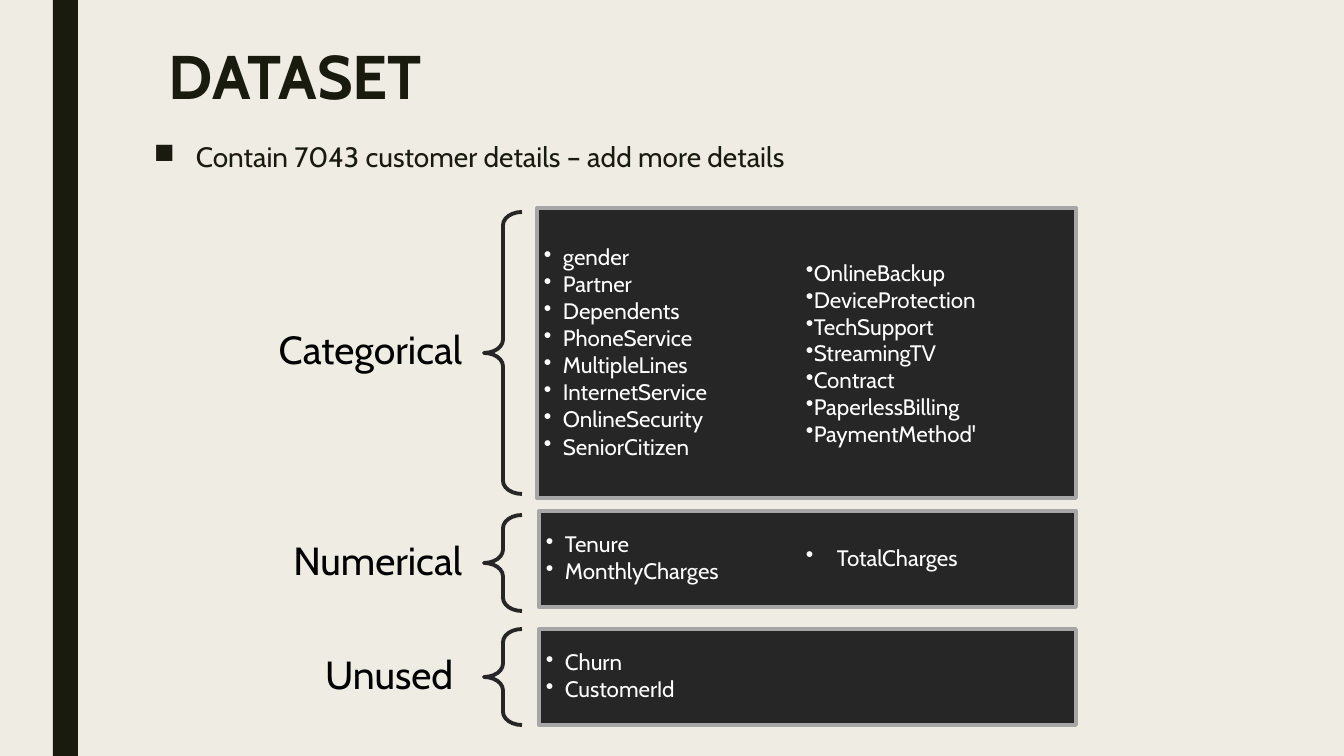
from dataclasses import dataclass

from lxml.etree import SubElement
from pptx import Presentation
from pptx.dml.color import RGBColor
from pptx.enum.shapes import MSO_SHAPE
from pptx.enum.text import MSO_ANCHOR, PP_ALIGN
from pptx.oxml.ns import qn
from pptx.util import Pt

SCALE = 914400 / 100.8


def px(size):
    """Turn pixels into EMU."""
    return round(size * SCALE)


@dataclass(frozen=True)
class Theme:
    """Colours, font and type sizes."""
    back: str = "EFEDE3"
    ink: str = "191B0E"
    dark: str = "262626"
    edge: str = "A6A6A6"
    black: str = "000000"
    white: str = "FFFFFF"
    font: str = "Cabin"
    title: int = 44
    lead: int = 20
    label: int = 28
    item: int = 16
    line: float = 2.75


class Page:
    """Draws elements on one slide in one style."""

    def __init__(self, slide, theme):
        """Keep the slide and theme, and fill the background."""
        self.slide, self.theme = slide, theme
        fill = slide.background.fill
        fill.solid()
        fill.fore_color.rgb = RGBColor.from_string(theme.back)

    def shape(self, kind, area, fill=None, edge=None):
        """Add a preset shape."""
        form = self.slide.shapes.add_shape(kind, *map(px, area))
        form.shadow.inherit = False
        if fill:
            form.fill.solid()
            form.fill.fore_color.rgb = RGBColor.from_string(fill)
        else:
            form.fill.background()
        if edge:
            form.line.color.rgb = RGBColor.from_string(edge)
            form.line.width = Pt(self.theme.line)
        else:
            form.line.fill.background()
        return form

    def brace(self, area):
        """Add a left brace."""
        form = self.shape(MSO_SHAPE.LEFT_BRACE, area, edge=self.theme.dark)
        form.adjustments[0] = 0.35

    def put(self, form, lines, size, color, align=PP_ALIGN.LEFT, bold=None,
            space=None, before=None, after=None, mark=None, indent=0):
        """Put one paragraph a line into a shape."""
        frame = form.text_frame
        frame.word_wrap = True
        for spot, line in enumerate(lines):
            para = frame.add_paragraph() if spot else frame.paragraphs[0]
            para.text, para.alignment, para.line_spacing = line, align, space
            if before is not None:
                para.space_before = Pt(before)
            if after is not None:
                para.space_after = Pt(after)
            font = para.font
            font.name, font.size, font.bold = self.theme.font, Pt(size), bold
            font.color.rgb = RGBColor.from_string(color)
            if mark:
                self.mark(para, mark, indent)
        return frame

    def mark(self, para, sign, indent):
        """Give a paragraph a bullet and a hanging indent."""
        props = para._p.get_or_add_pPr()
        props.set("marL", str(px(indent)))
        props.set("indent", str(-px(indent)))
        bullet = SubElement(props, qn("a:buChar"))
        bullet.set("char", sign)
        rest = props.find(qn("a:defRPr"))
        if rest is not None:
            rest.addprevious(bullet)

    def text(self, area, lines, size, color, **style):
        """Add a text box."""
        box = self.slide.shapes.add_textbox(*map(px, area))
        return self.put(box, lines, size, color, **style)

    def label(self, area, name):
        """Add a group name beside its brace."""
        frame = self.text(area, [name], self.theme.label, self.theme.black,
                          align=PP_ALIGN.RIGHT, space=0.9)
        frame.vertical_anchor = MSO_ANCHOR.MIDDLE
        frame.margin_left = frame.margin_right = px(22)

    def panel(self, area, items):
        """Add a dark box with a bullet list."""
        look = self.theme
        form = self.shape(MSO_SHAPE.RECTANGLE, area, look.dark, look.edge)
        frame = self.put(form, items, look.item, look.white, space=0.9,
                         after=2.1, mark="•", indent=19)
        frame.vertical_anchor = MSO_ANCHOR.MIDDLE
        frame.margin_left = frame.margin_right = px(7)
        frame.margin_top = frame.margin_bottom = px(7)

    def list(self, area, items, indent=0):
        """Add a bullet list over the right half of a box."""
        self.text(area, items, self.theme.item, self.theme.white,
                  mark="•", indent=indent)


# name, label top, brace (top, height), box (left, top, height), items
GROUPS = [
    ("Categorical", 304, (212, 282), (537, 208, 290),
     ["gender", "Partner", "Dependents", "PhoneService", "MultipleLines",
      "InternetService", "OnlineSecurity", "SeniorCitizen"]),
    ("Numerical", 515, (515, 96), (539, 511, 96),
     ["Tenure", "MonthlyCharges"]),
    ("Unused ", 629, (629, 96), (539, 629, 96),
     ["Churn", "CustomerId"]),
]
RIGHT = 1076

deck = Presentation()
deck.slide_width, deck.slide_height = px(1344), px(756)
theme = Theme()
page = Page(deck.slides.add_slide(deck.slide_layouts[6]), theme)

page.shape(MSO_SHAPE.RECTANGLE, (53, 0, 25, 756), theme.ink)
page.text((159, 42, 1058, 80), ["DATASET"], theme.title, theme.ink,
          bold=True, space=0.89)
page.text((144, 137, 1200, 50),
          ["Contain 7043 customer details – add more details"],
          theme.lead, theme.ink, space=0.94, before=10, after=2,
          mark="■", indent=42)

for name, top, (start, tall), (left, head, high), items in GROUPS:
    page.label((229, top, 255, 96), name)
    page.brace((484, start, 38, tall))
    page.panel((left, head, RIGHT - left, high), items)

page.list((796, 254, 204, 201),
          ["OnlineBackup", "DeviceProtection", "TechSupport", "StreamingTV",
           "Contract", "PaperlessBilling", "PaymentMethod'"])
page.list((796, 539, 184, 68), ["TotalCharges"], indent=31)

deck.save("out.pptx")
